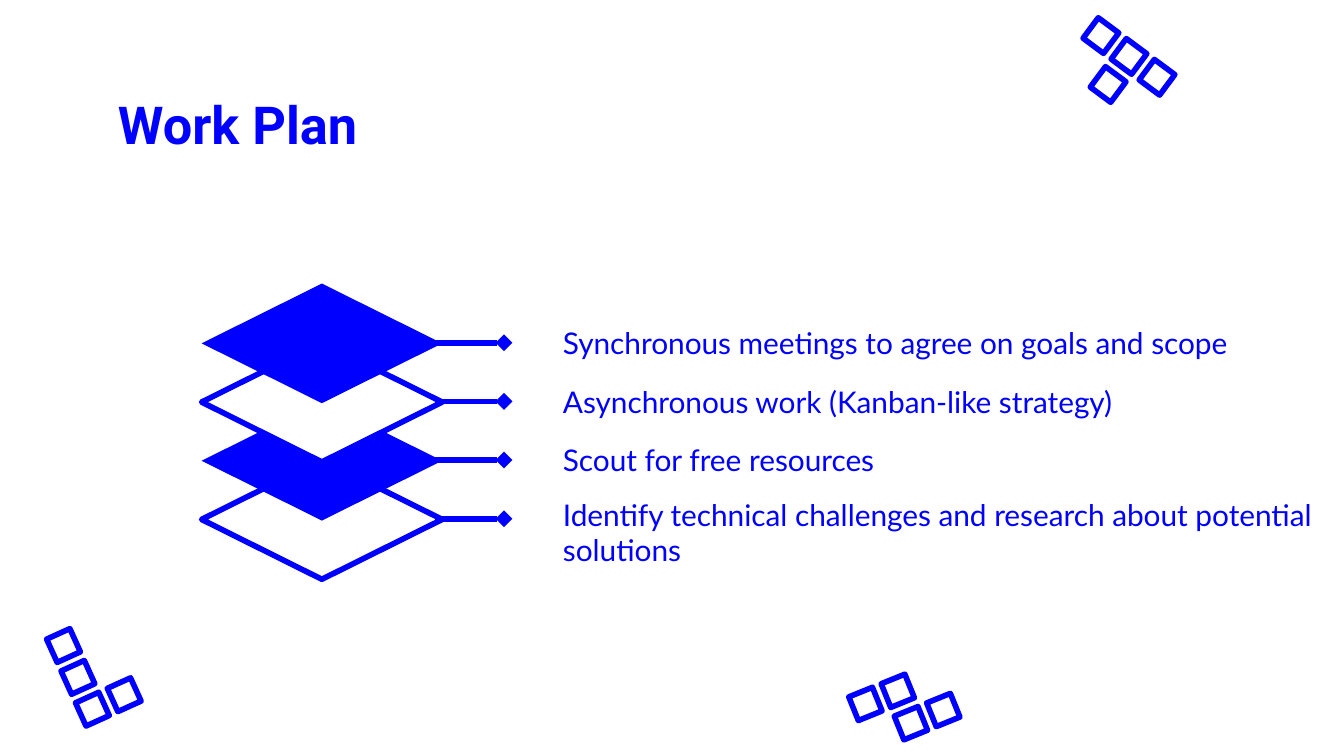
import math

from lxml import etree
from pptx import Presentation
from pptx import util as u
from pptx.dml.color import RGBColor
from pptx.enum import shapes, text
from pptx.oxml.ns import qn

COLORS = {"blue": "0000FE", "white": "FFFFFF"}
LINE_WIDTH = 3


class SlideBuilder:
    """Holds the style and the current slide."""

    title_font = "Roboto"
    body_font = "Lato"

    def __init__(self, slide):
        self.slide = slide

    def color(self, name):
        return RGBColor.from_string(COLORS[name])

    def outline(self, line):
        line.color.rgb = self.color("blue")
        line.width = u.Pt(LINE_WIDTH)

    def shape(self, kind, left, top, width, height, fill=None, outlined=True):
        shape = self.slide.shapes.add_shape(
            kind, u.Inches(left), u.Inches(top), u.Inches(width), u.Inches(height))
        shape.shadow.inherit = False
        if fill:
            shape.fill.solid()
            shape.fill.fore_color.rgb = self.color(fill)
        else:
            shape.fill.background()
        if outlined:
            self.outline(shape.line)
            etree.SubElement(shape.line._get_or_add_ln(), qn("a:round"))
        else:
            shape.line.fill.background()
        return shape

    def tiles(self, x, y, angle, cells, side=0.19, pitch=0.26):
        """Draw square tiles on a grid turned by angle about the tile at (x, y)."""
        cos, sin = math.cos(math.radians(angle)), math.sin(math.radians(angle))
        for column, row in cells:
            center_x = x + pitch * (column * cos - row * sin)
            center_y = y + pitch * (column * sin + row * cos)
            tile = self.shape(shapes.MSO_SHAPE.RECTANGLE, center_x - side / 2,
                              center_y - side / 2, side, side)
            tile.rotation = angle

    def label(self, words, left, top, width, height, font, size,
              bold=False, anchor=text.MSO_ANCHOR.MIDDLE):
        box = self.slide.shapes.add_textbox(
            u.Inches(left), u.Inches(top), u.Inches(width), u.Inches(height))
        frame = box.text_frame
        frame.word_wrap = True
        frame.vertical_anchor = anchor
        frame.margin_left = frame.margin_right = u.Inches(0.1)
        frame.margin_top = frame.margin_bottom = u.Inches(0.1)
        frame.text = words
        span = frame.paragraphs[0].runs[0]
        span.font.name = font
        span.font.size = u.Pt(size)
        span.font.bold = bold
        span.font.color.rgb = self.color("blue")

    def pointer(self, start, end, y):
        line = self.slide.shapes.add_connector(
            shapes.MSO_CONNECTOR.STRAIGHT,
            u.Inches(start), u.Inches(y), u.Inches(end), u.Inches(y))
        self.outline(line.line)
        etree.SubElement(line.line._get_or_add_ln(), qn("a:tailEnd"), type="diamond")
        etree.SubElement(line._element.spPr, qn("a:effectLst"))


def main():
    # Widescreen 16:9 slide
    deck = Presentation()
    deck.slide_width = u.Inches(10)
    deck.slide_height = u.Inches(10 * 9 / 16)
    builder = SlideBuilder(deck.slides.add_slide(deck.slide_layouts[6]))

    # Corner decorations: cells are (column, row) on the turned grid
    builder.tiles(6.68, 5.14, -22.1, [(0, 0), (0, 1), (1, 1), (-1, 0)])
    builder.tiles(8.4, 0.42, 36.6, [(0, 1), (0, 0), (-1, 0), (1, 0)])
    builder.tiles(0.58, 5.04, -24.4, [(0, 0), (0, -1), (0, 1), (1, 1)])

    # Title
    builder.label("Work Plan", 0.78, 0.59, 8.44, 0.63, builder.title_font, 28,
                  bold=True, anchor=text.MSO_ANCHOR.TOP)

    # Plan steps: words, text width, extra drop, layer fill
    steps = [
        ("Synchronous meetings to agree on goals and scope", 5.38, 0, "blue"),
        ("Asynchronous work (Kanban-like strategy)", 5.13, 0, "white"),
        ("Scout for free resources", 4.79, 0, "blue"),
        ("Identify technical challenges and research about potential solutions",
         5.91, 0.1, "white"),
    ]
    first_top, last_top = 2.11, 3.42
    gap = (last_top - first_top) / (len(steps) - 1)
    layers = [(first_top + gap * i, *step) for i, step in enumerate(steps)]

    for top, words, width, drop, _ in layers:
        builder.label(words, 4.09, top + 0.24 + drop, width, 0.4, builder.body_font, 16)

    # Stacked layers, lowest first
    for top, _, _, _, fill in reversed(layers):
        builder.shape(shapes.MSO_SHAPE.DIAMOND, 1.5, top, 1.79, 0.89,
                      fill, outlined=fill == "white")

    # Pointers from the layers to the steps
    for top, *_ in layers:
        builder.pointer(3.24, 3.75, top + 0.44)

    deck.save("out.pptx")


if __name__ == "__main__":
    main()
